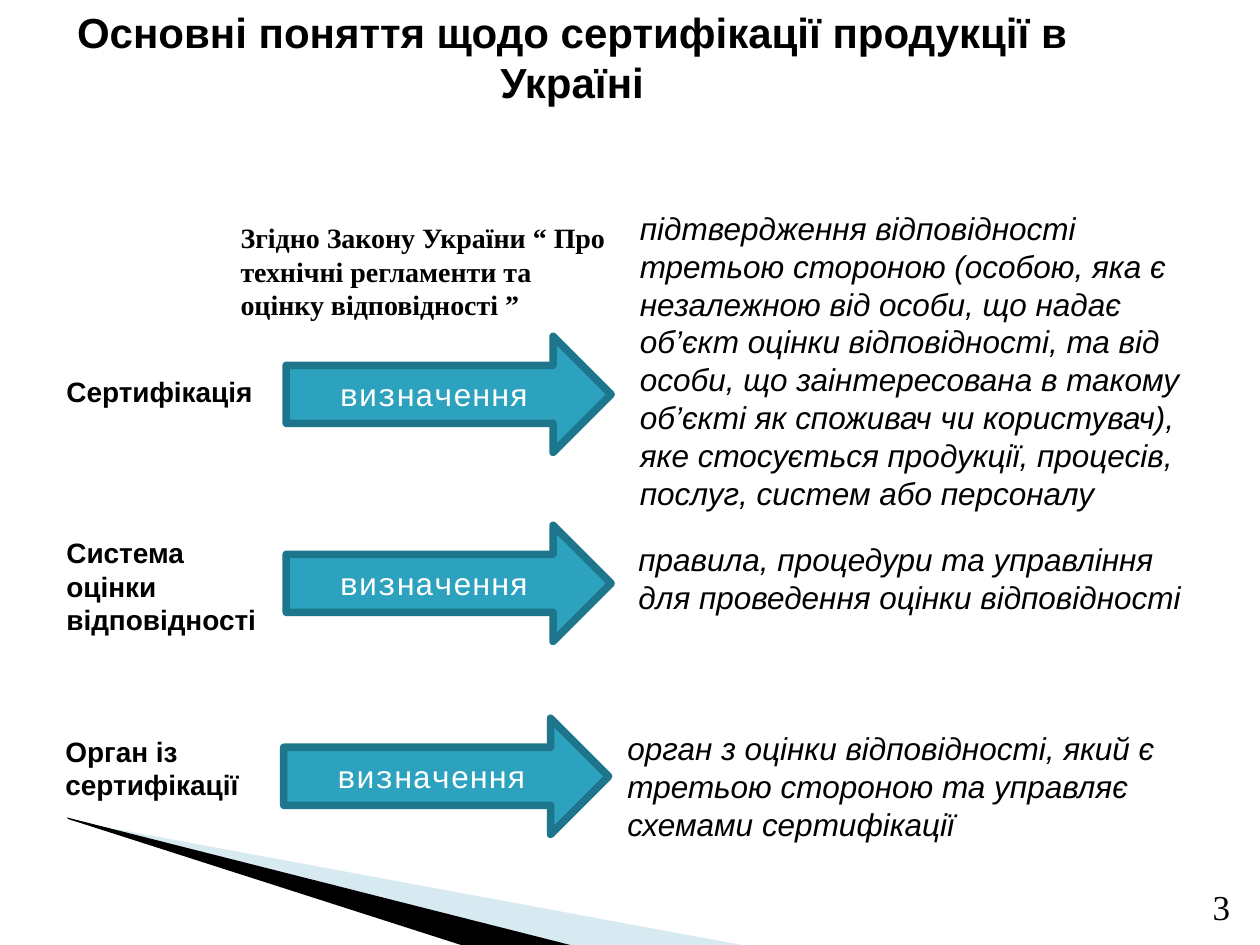
from lxml import etree
from pptx import Presentation
from pptx.dml.color import RGBColor
from pptx.enum.shapes import MSO_SHAPE
from pptx.enum.text import MSO_ANCHOR, MSO_AUTO_SIZE, PP_ALIGN
from pptx.oxml.ns import qn
from pptx.util import Cm, Pt

RIGHT_ARROW = MSO_SHAPE.RIGHT_ARROW
TOP, MIDDLE, BOTTOM = MSO_ANCHOR.TOP, MSO_ANCHOR.MIDDLE, MSO_ANCHOR.BOTTOM
LEFT, CENTER, RIGHT = PP_ALIGN.LEFT, PP_ALIGN.CENTER, PP_ALIGN.RIGHT
NO_AUTOFIT = MSO_AUTO_SIZE.NONE


def rgb(hex_code):
    return RGBColor.from_string(hex_code)


def write(shape, text, size, font="Arial", color="000000", bold=False,
          italic=False, align=LEFT, anchor=TOP):
    frame = shape.text_frame
    frame.text = text
    frame.word_wrap = True
    frame.auto_size = NO_AUTOFIT
    frame.vertical_anchor = anchor
    paragraph = frame.paragraphs[0]
    paragraph.alignment = align
    paragraph.font.name = font
    paragraph.font.size = Pt(size)
    paragraph.font.bold = bold
    paragraph.font.italic = italic
    paragraph.font.color.rgb = rgb(color)


prs = Presentation()
prs.slide_width, prs.slide_height = Cm(25.4), Cm(19.05)
slide = prs.slides.add_slide(prs.slide_layouts[5])
shapes = slide.shapes

# Corner wedges: colour, opacity in percent, outline in cm
wedges = [
    ("9FCBDC", 40, [(1.4, 16.54), (15.11, 19.08), (11.58, 19.08), (1.4, 16.51)]),
    ("000000", 100, [(1.35, 16.48), (11.61, 19.08), (9.45, 19.1), (1.37, 16.51)]),
]
for color, opacity, outline in wedges:
    points = [(Cm(x), Cm(y)) for x, y in outline]
    builder = shapes.build_freeform(*points[0])
    builder.add_line_segments(points[1:], close=True)
    wedge = builder.convert_to_shape()
    wedge.shadow.inherit = False
    wedge.line.fill.background()
    wedge.fill.solid()
    wedge.fill.fore_color.rgb = rgb(color)
    if opacity < 100:
        color_element = wedge.fill._xPr.find(qn("a:solidFill"))[0]
        etree.SubElement(color_element, qn("a:alpha"), val=str(opacity * 1000))

# Title
title = shapes.title
title.left, title.top, title.width, title.height = Cm(0.84), Cm(0), Cm(21.39), Cm(2.29)
write(title, "Основні поняття щодо сертифікації продукції в Україні", 24,
      bold=True, align=CENTER)

# Reference to the law
law = shapes.add_textbox(Cm(4.6), Cm(4.32), Cm(8.15), Cm(2.29))
write(law, "Згідно Закону України “ Про технічні регламенти та оцінку відповідності ”",
      16, font="Times New Roman", bold=True)

# Rows: term, arrow and definition, each with left, top (and height) in cm
rows = [
    ("Сертифікація", (1.09, 7.42, 0.94), (5.77, 6.78),
     "підтвердження відповідності третьою стороною (особою, яка є незалежною "
     "від особи, що надає об’єкт оцінки відповідності, та від особи, що "
     "заінтересована в такому об’єкті як споживач чи користувач), яке "
     "стосується продукції, процесів, послуг, систем або персоналу",
     (12.65, 4.09, 6.35)),
    ("Система оцінки відповідності", (1.09, 10.67, 2.29), (5.77, 10.59),
     "правила, процедури та управління для проведення оцінки відповідності",
     (12.62, 10.77, 1.78)),
    ("Орган із сертифікації", (1.07, 14.68, 1.63), (5.72, 14.48),
     "орган з оцінки відповідності, який є третьою стороною та управляє "
     "схемами сертифікації",
     (12.4, 14.58, 2.54)),
]
for term, term_place, arrow_place, definition, definition_place in rows:
    x, y, height = term_place
    term_box = shapes.add_textbox(Cm(x), Cm(y), Cm(4.45), Cm(height))
    write(term_box, term, 16, bold=True)

    x, y = arrow_place
    arrow = shapes.add_shape(RIGHT_ARROW, Cm(x), Cm(y), Cm(6.55), Cm(2.34))
    arrow.shadow.inherit = False
    arrow.fill.solid()
    arrow.fill.fore_color.rgb = rgb("2DA2BF")
    arrow.line.color.rgb = rgb("1E768C")
    arrow.line.width = Pt(4.34)
    write(arrow, "визначення", 18, font="Courier New", color="FFFFFF",
          align=CENTER, anchor=MIDDLE)

    x, y, height = definition_place
    definition_box = shapes.add_textbox(Cm(x), Cm(y), Cm(11.73), Cm(height))
    write(definition_box, definition, 18, italic=True)

# Slide number
page_number = shapes.add_textbox(Cm(24.03), Cm(17.81), Cm(1.02), Cm(1.02))
write(page_number, "3", 20, font="Times New Roman", align=RIGHT, anchor=BOTTOM)

prs.save("out.pptx")
